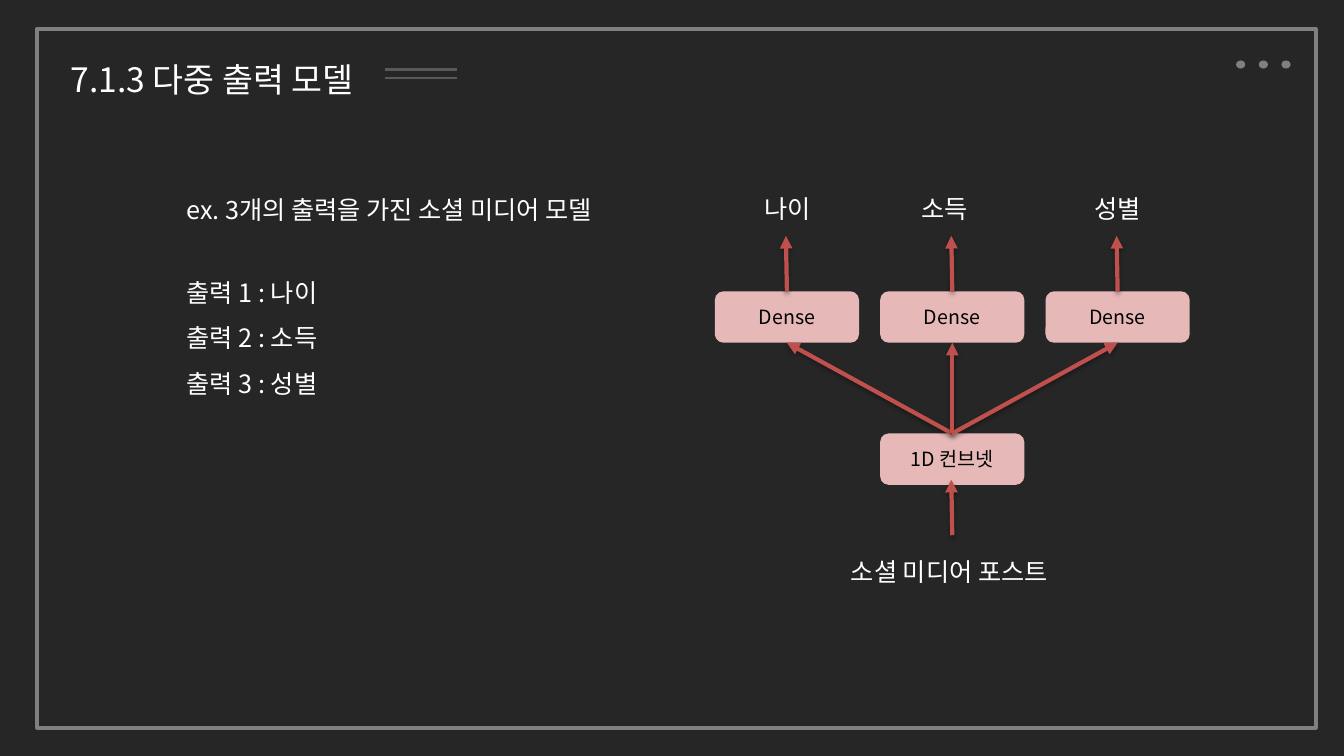
from lxml import etree
from pptx import Presentation
from pptx.dml.color import RGBColor
from pptx.enum.shapes import MSO_CONNECTOR as CONNECTOR, MSO_SHAPE as SHAPE
from pptx.enum.text import MSO_ANCHOR as ANCHOR, MSO_AUTO_SIZE as AUTO_SIZE, PP_ALIGN as ALIGN
from pptx.oxml import parse_xml
from pptx.oxml.ns import nsdecls, qn
from pptx.util import Inches, Pt

FONT = "Noto Sans CJK KR"
COLORS = {
    "background": "262626", "frame": "808080", "rule": "595959",
    "box": "E6B9B8", "arrow": "C0504D", "text": "FFFFFF", "box_text": "000000",
}
TOP, BOTTOM = 0, 2  # connection sites of a rectangle


def color(name):
    return RGBColor.from_string(COLORS[name])


def place(shape, left, top, width, height):
    shape.left, shape.top = Inches(left), Inches(top)
    shape.width, shape.height = Inches(width), Inches(height)


def write(shape, lines, size=18, color_name="text", align=ALIGN.LEFT,
          anchor=ANCHOR.TOP, spacing=1.0, wrap=False, auto_size=AUTO_SIZE.SHAPE_TO_FIT_TEXT):
    frame = shape.text_frame
    frame.word_wrap, frame.auto_size, frame.vertical_anchor = wrap, auto_size, anchor
    for index, line in enumerate(lines):
        paragraph = frame.add_paragraph() if index else frame.paragraphs[0]
        if shape.is_placeholder:
            properties = paragraph._p.get_or_add_pPr()
            properties.set("marL", "0")
            properties.set("indent", "0")
            etree.SubElement(properties, qn("a:buNone"))
        paragraph.alignment, paragraph.line_spacing = align, spacing
        paragraph.space_before = Pt(0)
        run = paragraph.add_run()
        run.text = line
        run.font.size, run.font.name = Pt(size), FONT
        run.font.color.rgb = color(color_name)
        etree.SubElement(run._r.get_or_add_rPr(), qn("a:ea"), typeface=FONT)


def add_label(slide, text, left, top, width):
    label = slide.shapes.add_textbox(Inches(left), Inches(top), Inches(width), Inches(0.4))
    write(label, [text])


def add_line(slide, start, end, color_name, weight, effects=""):
    line = slide.shapes.add_connector(CONNECTOR.STRAIGHT, *map(Inches, start + end))
    line.line.color.rgb, line.line.width = color(color_name), Pt(weight)
    line._element.spPr.append(
        parse_xml(f'<a:effectLst {nsdecls("a")}>{effects}</a:effectLst>'))
    return line


def add_arrow(slide, start, end):
    shadow = ('<a:outerShdw blurRad="40000" dist="23000" dir="5400000" rotWithShape="0">'
              '<a:srgbClr val="000000"><a:alpha val="35000"/></a:srgbClr></a:outerShdw>')
    arrow = add_line(slide, start, end, "arrow", 3, shadow)
    etree.SubElement(arrow.line._get_or_add_ln(), qn("a:tailEnd"), type="triangle")
    return arrow


def add_shape(slide, kind, left, top, width, height, fill=None):
    shape = slide.shapes.add_shape(kind, *map(Inches, (left, top, width, height)))
    shape.shadow.inherit = False
    shape.line.fill.background()
    if fill:
        shape.fill.solid()
        shape.fill.fore_color.rgb = color(fill)
    else:
        shape.fill.background()
    return shape


def add_frame(slide, left, top, width, height):
    """Outline of the slide with three dots in its top right corner."""
    frame = add_shape(slide, SHAPE.RECTANGLE, left, top, width, height)
    frame.line.color.rgb, frame.line.width = color("frame"), Pt(3)
    for index in range(3):
        add_shape(slide, SHAPE.OVAL, left + width - 0.79 + index * 0.225, top + 0.31,
                  0.09, 0.08, "frame")


def add_heading(slide, left, top, width, height):
    """Title followed by a double rule."""
    title = slide.shapes.title
    place(title, left, top, width, height)
    write(title, ["7.1.3 다중 출력 모델"], size=24, spacing=1.5, wrap=True)
    right = left + width
    for y in (top + 0.36, top + 0.44):
        add_line(slide, (right, y), (right + 0.71, y), "rule", 1.5)


def add_outputs(slide, left, top, width):
    """Example sentence above the list of outputs."""
    add_label(slide, "ex. 3개의 출력을 가진 소셜 미디어 모델", left, top, width)
    body = slide.placeholders[1]
    place(body, left, top + 0.67, 1.63, 1.46)
    names = ("나이", "소득", "성별")
    write(body, [f"출력 {number} : {name}" for number, name in enumerate(names, 1)],
          spacing=1.5)


def add_model(slide, left, top):
    """Network from the post at the bottom to three outputs at the top."""
    width, height, pitch = 1.43, 0.51, 1.64
    dense_top, convnet_top = top + 1.02, top + 2.43

    def add_layer(text, column, y):
        layer = add_shape(slide, SHAPE.ROUNDED_RECTANGLE, left + column * pitch, y,
                          width, height, "box")
        write(layer, [text], 14, "box_text", ALIGN.CENTER, ANCHOR.MIDDLE,
              wrap=True, auto_size=AUTO_SIZE.NONE)
        return layer

    # Layers
    convnet = add_layer("1D 컨브넷", 1, convnet_top)
    dense_layers = [add_layer("Dense", column, dense_top) for column in range(3)]

    # Arrows
    centers = [left + column * pitch + width / 2 for column in range(3)]
    middle = centers[1]
    for dense, center in zip(dense_layers, centers):
        branch = add_arrow(slide, (middle, convnet_top), (center, dense_top + height))
        branch.begin_connect(convnet, TOP)
        branch.end_connect(dense, BOTTOM)
        output = add_arrow(slide, (center, dense_top), (center - 0.01, top + 0.47))
        output.begin_connect(dense, TOP)
    add_arrow(slide, (middle, top + 3.44), (middle - 0.01, top + 2.89))

    # Labels
    add_label(slide, "소셜 미디어 포스트", left + 1.25, top + 3.6, 2.32)
    for name, offset in (("나이", 0.39), ("소득", 1.95), ("성별", 3.67)):
        add_label(slide, name, left + offset, top, 0.69)


def main():
    presentation = Presentation()
    presentation.slide_width, presentation.slide_height = Inches(13.33), Inches(7.5)
    slide = presentation.slides.add_slide(presentation.slide_layouts[1])
    slide.background.fill.solid()
    slide.background.fill.fore_color.rgb = color("background")
    add_frame(slide, 0.37, 0.29, 12.68, 6.93)
    add_heading(slide, 0.6, 0.33, 3.22, 0.71)
    add_outputs(slide, 1.75, 1.88, 4.56)
    add_model(slide, 7.09, 1.87)
    presentation.save("out.pptx")


if __name__ == "__main__":
    main()
